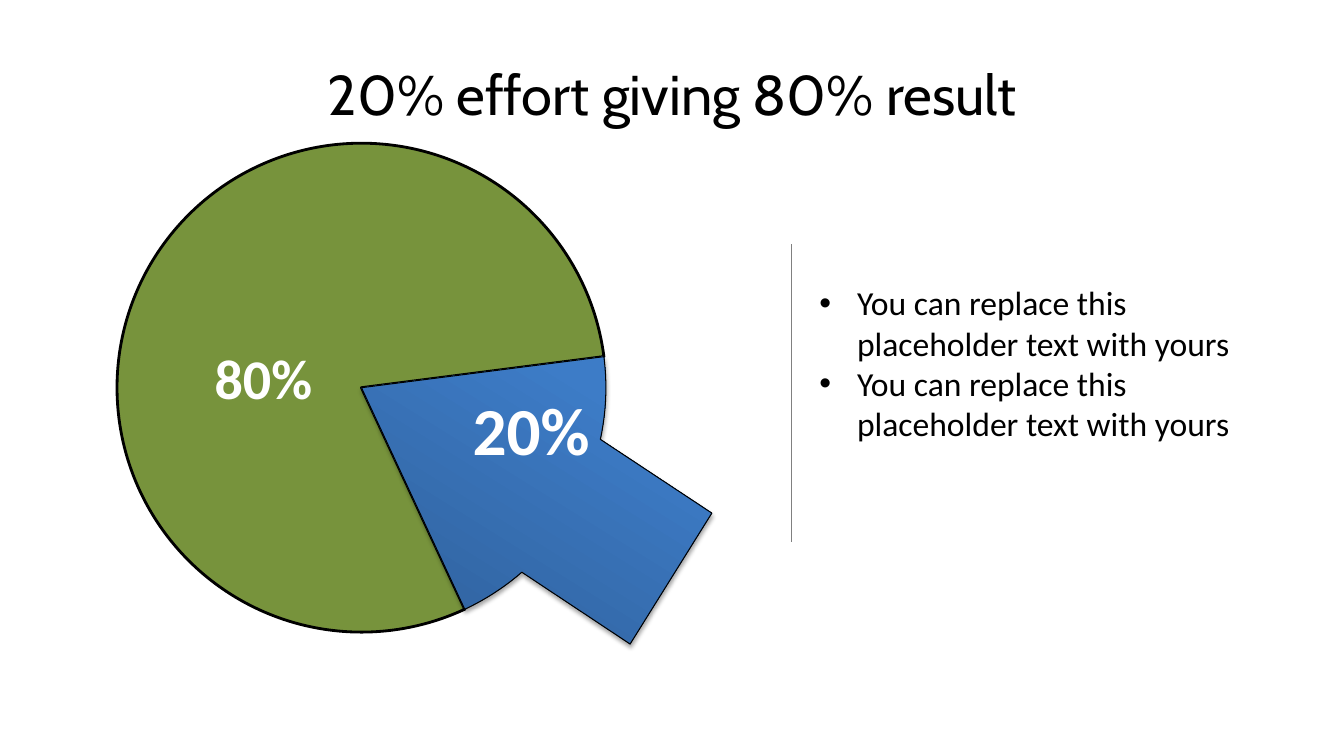
import copy
import math

from lxml import etree
from pptx import Presentation
from pptx.dml import color
from pptx.enum import shapes, text
from pptx.oxml import ns
from pptx.util import Cm, Pt

# Content, lengths in cm
TITLE = "20% effort giving 80% result"
BULLETS = ["You can replace this placeholder text with yours"] * 2
SHARES = [  # text, size, left, top, width, height
    ("20%", 48, 11.66, 9.65, 3.5, 2.31),
    ("80%", 40, 5.16, 8.53, 3.0, 1.96),
]
COLORS = {"green": "77933C", "black": "000000", "white": "FFFFFF", "gray": "808080"}
GRADIENT = [(0, "2F5F99"), (0.8, "3D7CC7"), (1, "3A7CCB")]

CENTER = (9.11, 9.77)
RADIUS = 6.16
WEDGE = (-7.3, 65)  # degrees clockwise from the right
NECK = (12.2, 49)  # where the handle leaves the rim
HANDLE_END = [(17.94, 12.93), (15.88, 16.23)]
BULLET_INDENT = Cm(0.95)


def rgb(value):
    return color.RGBColor.from_string(value)


def write(frame, lines, *, size, font="Calibri", tint="black", bold=False,
          align=text.PP_ALIGN.LEFT, bulleted=False, wrap=True):
    frame.word_wrap = wrap
    for index, line in enumerate(lines):
        para = frame.paragraphs[0] if index == 0 else frame.add_paragraph()
        if bulleted:
            props = para._p.get_or_add_pPr()
            props.set("marL", str(BULLET_INDENT))
            props.set("indent", str(-BULLET_INDENT))
            etree.SubElement(props, ns.qn("a:buFont"), typeface="Arial")
            etree.SubElement(props, ns.qn("a:buChar"), char="•")
        para.alignment = align
        span = para.add_run()
        span.text = line
        span.font.name, span.font.size, span.font.bold = font, Pt(size), bold
        span.font.color.rgb = rgb(COLORS[tint])


def outline(shape, tint, width):
    shape.line.color.rgb = rgb(COLORS[tint])
    shape.line.width = Pt(width)


def rim(start, end, steps=24):
    angles = [math.radians(start + (end - start) * i / steps) for i in range(steps + 1)]
    return [(CENTER[0] + RADIUS * math.cos(a), CENTER[1] + RADIUS * math.sin(a))
            for a in angles]


deck = Presentation()
deck.slide_width, deck.slide_height = Cm(33.87), Cm(19.05)
page = deck.slides.add_slide(deck.slide_layouts[5])

# Title
title = page.shapes.title
title.left, title.top, title.width, title.height = Cm(1.7), Cm(0.76), Cm(30.48), Cm(3.18)
title.text_frame.vertical_anchor = text.MSO_ANCHOR.MIDDLE
write(title.text_frame, [TITLE], size=40, font="Cabin", align=text.PP_ALIGN.CENTER)

# Green pie
pie = page.shapes.add_shape(
    shapes.MSO_SHAPE.PIE, Cm(CENTER[0] - RADIUS), Cm(CENTER[1] - RADIUS),
    Cm(2 * RADIUS), Cm(2 * RADIUS))
pie.adjustments[0] = WEDGE[1]
pie.adjustments[1] = WEDGE[0] + 360
# Preset angles are stored in 60000ths of a degree
for guide, angle in zip(pie._element.spPr.iter(ns.qn("a:gd")), (WEDGE[1], WEDGE[0] + 360)):
    guide.set("fmla", f"val {round(angle * 60000)}")
pie.shadow.inherit = False
pie.fill.solid()
pie.fill.fore_color.rgb = rgb(COLORS["green"])
outline(pie, "black", 2)

# Blue wedge with its handle
points = [(Cm(x), Cm(y)) for x, y in
          [CENTER, *rim(WEDGE[0], NECK[0]), *HANDLE_END, *rim(NECK[1], WEDGE[1])]]
builder = page.shapes.build_freeform(*points[0])
builder.add_line_segments(points[1:], close=True)
wedge = builder.convert_to_shape()
wedge.fill.gradient()
wedge.fill.gradient_angle = 58
stop_list = next(wedge._element.spPr.iter(ns.qn("a:gsLst")))
stop_list.append(copy.deepcopy(stop_list[-1]))
for stop, (position, tint) in zip(wedge.fill.gradient_stops, GRADIENT):
    stop.position = position
    stop.color.rgb = rgb(tint)
outline(wedge, "black", 0.75)
wedge.shadow.inherit = False
effects = wedge._element.spPr.find(ns.qn("a:effectLst"))
shadow = etree.SubElement(effects, ns.qn("a:outerShdw"), blurRad=str(Pt(3.1)),
                          dist=str(Pt(1.8)), dir="5400000", rotWithShape="0")
shade = etree.SubElement(shadow, ns.qn("a:srgbClr"), val=COLORS["black"])
etree.SubElement(shade, ns.qn("a:alpha"), val="35000")

# Share labels
for label, size, *place in SHARES:
    box = page.shapes.add_textbox(*map(Cm, place))
    write(box.text_frame, [label], size=size, tint="white", bold=True, wrap=False)

# Divider
divider = page.shapes.add_connector(
    shapes.MSO_CONNECTOR.STRAIGHT, Cm(19.94), Cm(6.15), Cm(19.94), Cm(13.67))
outline(divider, "gray", 0.75)
etree.SubElement(divider._element.spPr, ns.qn("a:effectLst"))

# Bullets
box = page.shapes.add_textbox(Cm(20.4), Cm(6.99), Cm(11.63), Cm(5.38))
write(box.text_frame, BULLETS, size=24, bulleted=True)

deck.save("out.pptx")
